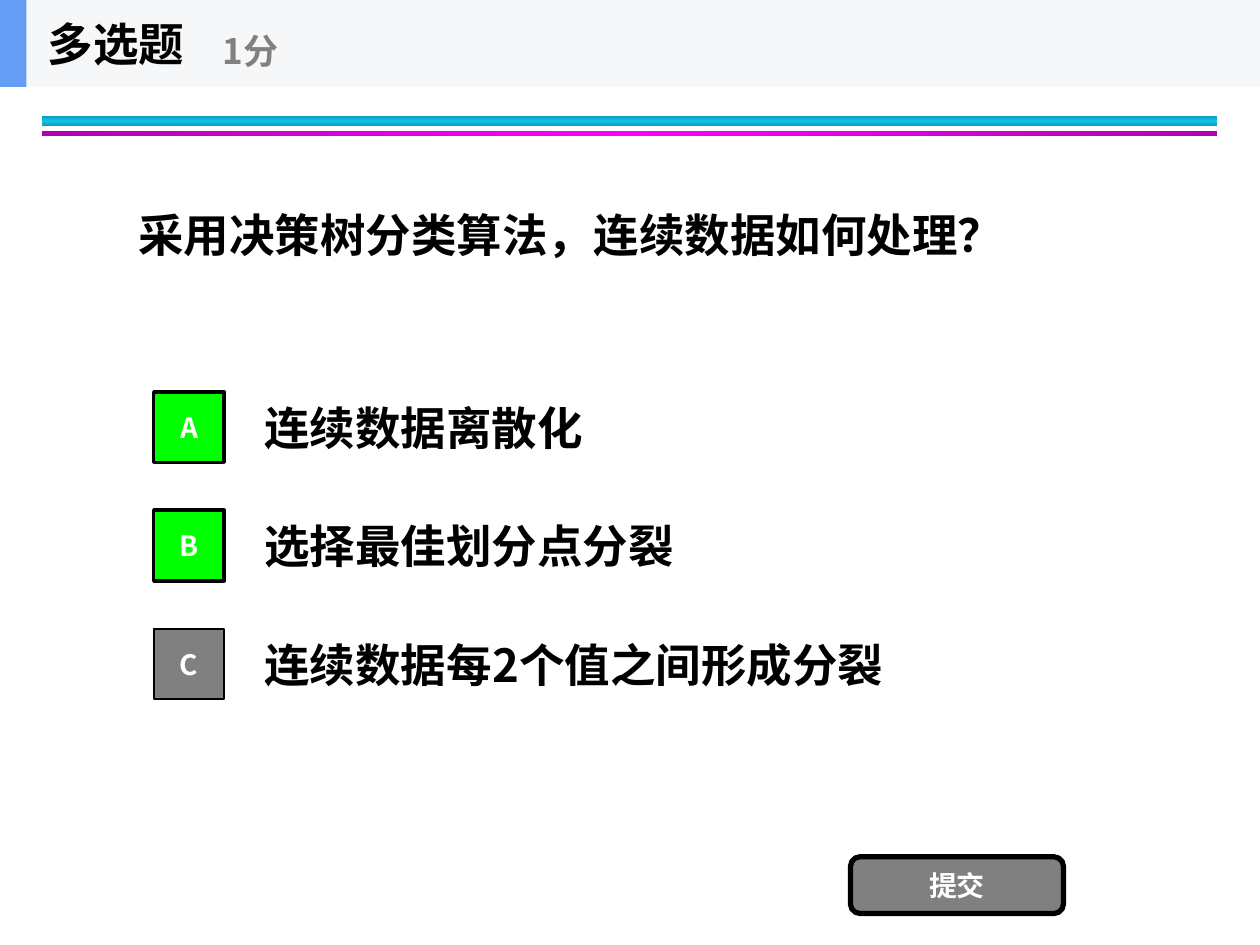
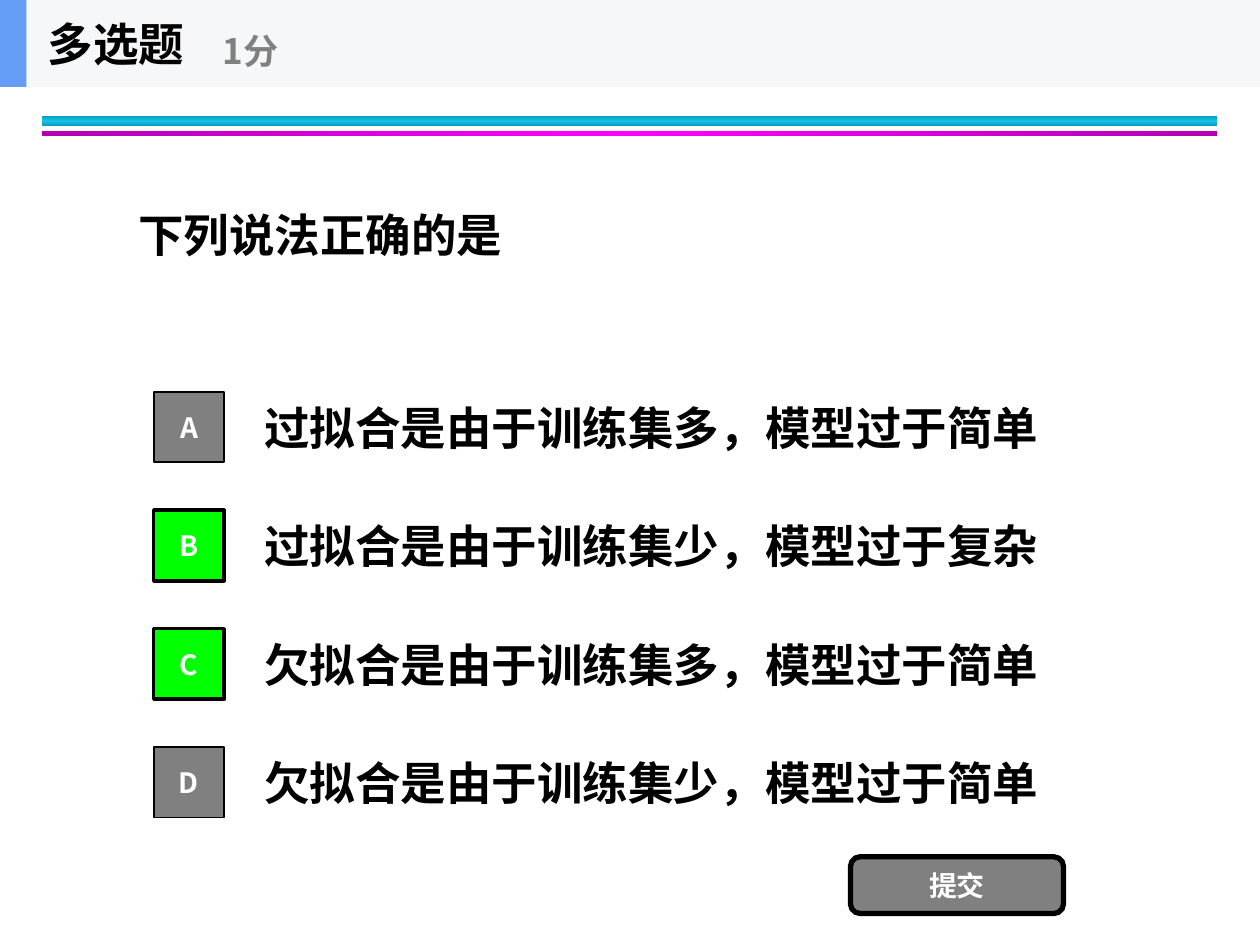
from copy import deepcopy

from pptx import Presentation
from pptx.dml.color import RGBColor
from pptx.enum.shapes import MSO_SHAPE
from pptx.enum.text import MSO_ANCHOR, PP_ALIGN
from pptx.oxml.ns import qn
from pptx.util import Inches, Pt

BLACK = RGBColor(0x00, 0x00, 0x00)
WHITE = RGBColor(0xFF, 0xFF, 0xFF)
GREY = RGBColor(0x80, 0x80, 0x80)
GREEN = RGBColor(0x00, 0xFF, 0x00)
BAND = RGBColor(0xF6, 0xF7, 0xF8)
ACCENT = RGBColor(0x63, 0x9E, 0xF4)
CYAN = RGBColor(0x12, 0xC2, 0xE9)
DARK_CYAN = RGBColor(0x0E, 0x9B, 0xBA)
MAGENTA = RGBColor(0xFF, 0x00, 0xFF)
DARK_MAGENTA = RGBColor(0xB2, 0x00, 0xB2)
FONT = "Noto Sans CJK SC"

OPTION_TOP = 3.04
OPTION_STEP = 0.94

QUESTIONS = [
    ("采用决策树分类算法，连续数据如何处理？", "AB",
     ["连续数据离散化", "选择最佳划分点分裂", "连续数据每2个值之间形成分裂"]),
    ("下列说法正确的是", "BC",
     ["过拟合是由于训练集多，模型过于简单",
      "过拟合是由于训练集少，模型过于复杂",
      "欠拟合是由于训练集多，模型过于简单",
      "欠拟合是由于训练集少，模型过于简单"]),
]


def write(shape, text, size, color, align=PP_ALIGN.LEFT):
    tf = shape.text_frame
    tf.word_wrap = True
    tf.vertical_anchor = MSO_ANCHOR.MIDDLE
    p = tf.paragraphs[0]
    p.alignment = align
    r = p.add_run()
    r.text = text
    for name, value in {"name": FONT, "size": Pt(size), "bold": True}.items():
        setattr(r.font, name, value)
    r.font.color.rgb = color
    ea = r._r.get_or_add_rPr().makeelement(qn("a:ea"), {"typeface": FONT})
    r.font._element.find(qn("a:latin")).addnext(ea)


def add_label(s, box, text, size, color=BLACK):
    write(s.shapes.add_textbox(*map(Inches, box)), text, size, color)


def add_box(s, box, fill=None, line=0, kind=MSO_SHAPE.RECTANGLE):
    sp = s.shapes.add_shape(kind, *map(Inches, box))
    sp.shadow.inherit = False
    if fill is not None:
        sp.fill.solid()
        sp.fill.fore_color.rgb = fill
    if line:
        sp.line.color.rgb = BLACK
        sp.line.width = Pt(line)
    else:
        sp.line.fill.background()
    return sp


def add_button(s, box, text, fill, line, kind=MSO_SHAPE.RECTANGLE):
    write(add_box(s, box, fill, line, kind), text, 16, WHITE, PP_ALIGN.CENTER)


def add_gradient_bar(s, box, edge, middle, angle):
    sp = add_box(s, box)
    sp.fill.gradient()
    sp.fill.gradient_angle = angle
    stops = sp._element.spPr.find(".//" + qn("a:gsLst"))
    stops.append(deepcopy(stops[0]))
    for i, (stop, color) in enumerate(zip(sp.fill.gradient_stops, (edge, middle, edge))):
        stop.position = i / 2
        stop.color.rgb = color


def add_frame(s):
    add_gradient_bar(s, (0.33, 0.92, 9.33, 0.08), DARK_CYAN, CYAN, 90)
    add_gradient_bar(s, (0.33, 1.04, 9.33, 0.04), DARK_MAGENTA, MAGENTA, 0)
    add_box(s, (0, 0, 10, 0.69), BAND)
    add_box(s, (0, 0, 0.21, 0.69), ACCENT)
    add_label(s, (0.28, 0, 2.08, 0.69), "多选题", 26)
    add_label(s, (1.67, 0.12, 2.5, 0.56), "1分", 20, GREY)


def add_option(s, index, letter, text, correct):
    top = OPTION_TOP + index * OPTION_STEP
    fill, line = (GREEN, 2) if correct else (GREY, 1)
    add_label(s, (2, top, 7, 0.7), text, 26)
    add_button(s, (1.22, top + 0.07, 0.56, 0.56), letter, fill, line)


def add_question(prs, question, answers, options):
    s = prs.slides.add_slide(prs.slide_layouts[6])
    add_frame(s)
    add_label(s, (1, 0.69, 8, 2.34), question, 26)
    for i, (letter, text) in enumerate(zip("ABCD", options)):
        add_option(s, i, letter, text, letter in answers)
    add_button(s, (6.75, 6.8, 1.69, 0.45), "提交", GREY, 3, MSO_SHAPE.ROUNDED_RECTANGLE)


def main():
    prs = Presentation()
    prs.slide_width = Inches(10)
    prs.slide_height = Inches(7.5)
    for question in QUESTIONS:
        add_question(prs, *question)
    prs.save("out.pptx")


if __name__ == "__main__":
    main()
